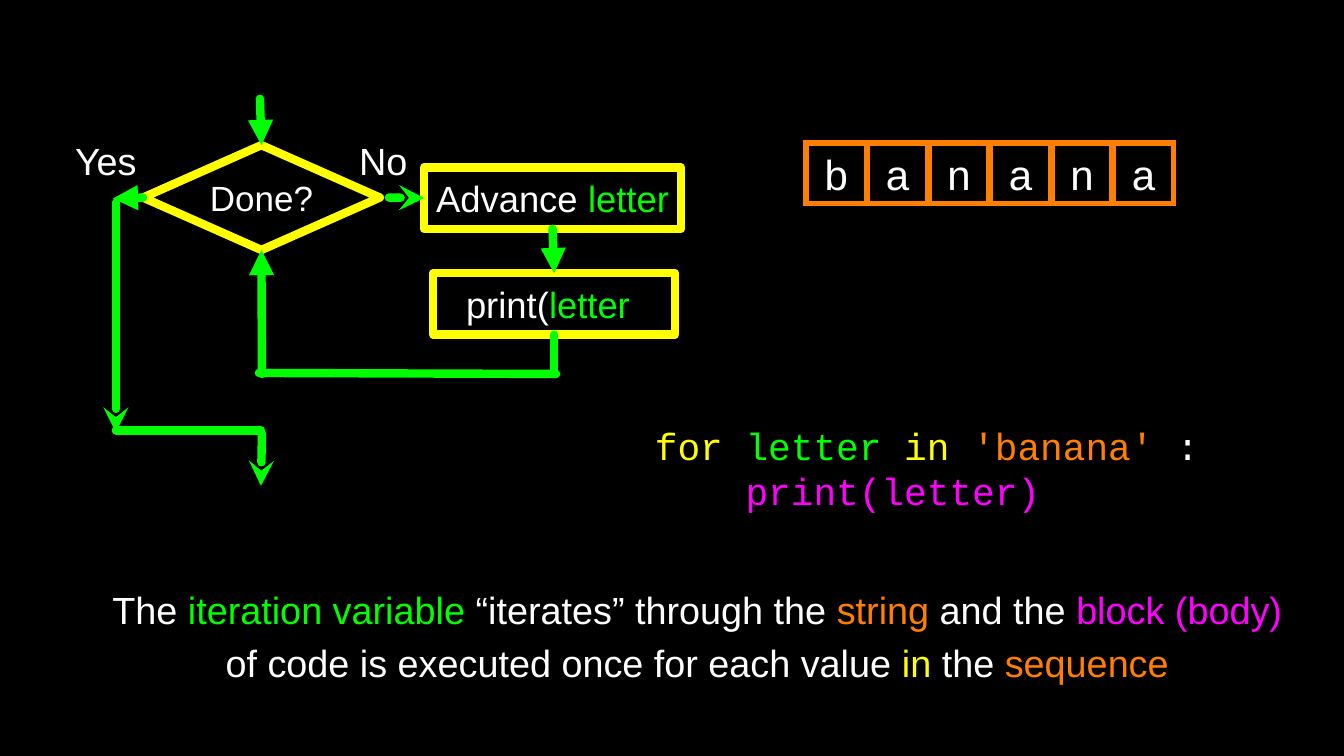
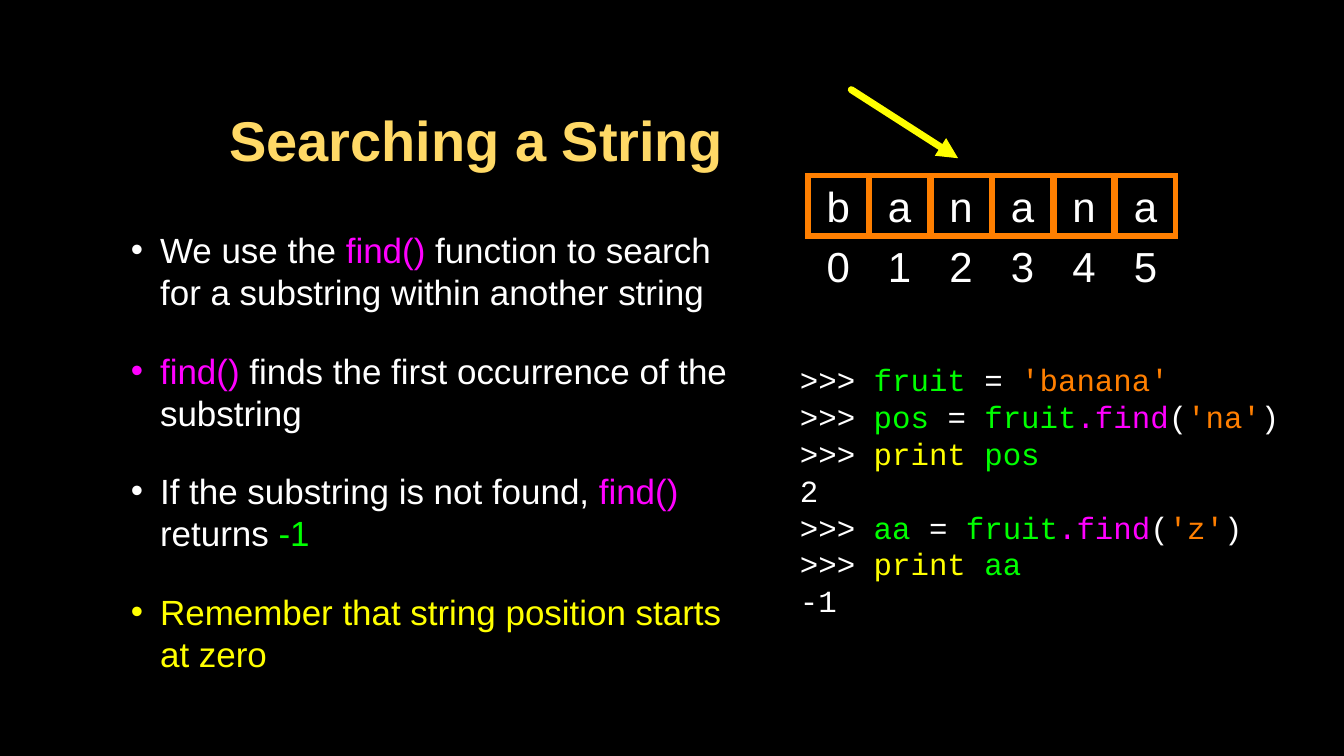
from lxml import etree
from pptx import Presentation
from pptx.dml.color import RGBColor
from pptx.enum.shapes import MSO_CONNECTOR, MSO_SHAPE
from pptx.enum.text import MSO_ANCHOR, PP_ALIGN
from pptx.oxml.ns import qn
from pptx.util import Inches, Pt

STRAIGHT = MSO_CONNECTOR.STRAIGHT
DIAMOND, RECT = MSO_SHAPE.DIAMOND, MSO_SHAPE.RECTANGLE
LEFT, CENTER, RIGHT = PP_ALIGN.LEFT, PP_ALIGN.CENTER, PP_ALIGN.RIGHT
MIDDLE = MSO_ANCHOR.MIDDLE
TOP_SIDE, LEFT_SIDE, BOTTOM_SIDE = 0, 1, 2


class Theme:
    black, white, gold = "000000", "FFFFFF", "FFD966"
    yellow, green, orange, magenta = "FFFF00", "00FF00", "FF7F00", "FF00FF"
    sans, mono = "Arial", "Courier New"
    title, letter, label, box, body, console = 40, 30, 27, 26, 25, 22
    flow_line, pointer_line, tile_line = 6, 5, 4


T = Theme


def write(tf, paras, size, align=CENTER, font=T.sans, leading=None, margin=0.0):
    """Fill a text frame; each paragraph is a list of (text, colour) runs."""
    tf.word_wrap = True
    tf.vertical_anchor = MIDDLE
    tf.margin_left = tf.margin_right = Inches(margin)
    tf.margin_top = tf.margin_bottom = Inches(margin)
    for i, runs in enumerate(paras):
        p = tf.paragraphs[0] if i == 0 else tf.add_paragraph()
        p.alignment = align
        if leading:
            p.line_spacing = Pt(leading)
        for text, color in runs:
            r = p.add_run()
            r.text = text
            r.font.size, r.font.name = Pt(size), font
            r.font.color.rgb = RGBColor.from_string(color)


def connect(s, start, end, color, width, arrow=None):
    """Draw a round-capped line, with an optional arrowhead at its end."""
    c = s.shapes.add_connector(STRAIGHT, *map(Inches, start + end))
    c.line.color.rgb = RGBColor.from_string(color)
    c.line.width = Pt(width)
    spPr = c._element.spPr
    ln = spPr.find(qn("a:ln"))
    ln.set("cap", "rnd")
    if arrow:
        etree.SubElement(ln, qn("a:tailEnd"), type=arrow)
    etree.SubElement(spPr, qn("a:effectLst"))
    return c


prs = Presentation()
prs.slide_width, prs.slide_height = Inches(13.34), Inches(7.5)
fill = prs.slide_master.background.fill
fill.solid()
fill.fore_color.rgb = RGBColor.from_string(T.black)
loop_slide = prs.slides.add_slide(prs.slide_layouts[6])
find_slide = prs.slides.add_slide(prs.slide_layouts[5])

# Letter tiles on both slides, with index numbers on the second
TILE, PITCH = 0.6, 0.61
for s, left, top, numbered in ((loop_slide, 8.0, 1.42, False),
                               (find_slide, 8.02, 1.74, True)):
    for i, letter in enumerate("banana"):
        x = left + i * PITCH
        sp = s.shapes.add_shape(RECT, Inches(x), Inches(top), Inches(TILE), Inches(TILE))
        sp.shadow.inherit = False
        sp.fill.background()
        sp.line.color.rgb = RGBColor.from_string(T.orange)
        sp.line.width = Pt(T.tile_line)
        etree.SubElement(sp._element.spPr.find(qn("a:ln")), qn("a:miter"), lim="800000")
        write(sp.text_frame, [[(letter, T.white)]], T.letter)
        if numbered:
            sp = s.shapes.add_textbox(Inches(x), Inches(top + TILE), Inches(TILE), Inches(TILE))
            write(sp.text_frame, [[(str(i), T.white)]], T.letter)

# Slide 1: flowchart nodes
s = loop_slide
nodes = {}
for name, kind, box, size, runs in (
    ("done", DIAMOND, (1.42, 1.44, 2.35, 1.04), T.body, [("Done?", T.white)]),
    ("advance", RECT, (4.21, 1.66, 2.55, 0.61), T.box,
     [("Advance ", T.white), ("letter", T.green)]),
    ("print", RECT, (4.3, 2.71, 2.4, 0.61), T.box,
     [("print(", T.white), ("letter", T.green)]),
):
    sp = s.shapes.add_shape(kind, *map(Inches, box))
    sp.shadow.inherit = False
    sp.fill.background()
    sp.line.color.rgb = RGBColor.from_string(T.yellow)
    sp.line.width = Pt(T.flow_line)
    write(sp.text_frame, [runs], size)
    nodes[name] = sp
nodes["print"].text_frame.margin_right = Inches(0.12)

# Flow lines: start, end, arrowhead, node joined at the start, node joined at the end
for start, end, arrow, source, target in (
    ((2.58, 0.98), (2.59, 1.44), "triangle", None, ("done", TOP_SIDE)),
    ((3.86, 1.96), (4.18, 1.96), "stealth", None, ("advance", LEFT_SIDE)),
    ((5.48, 2.27), (5.5, 2.71), "triangle", ("advance", BOTTOM_SIDE), ("print", TOP_SIDE)),
    ((5.5, 3.32), (5.5, 3.71), None, ("print", BOTTOM_SIDE), None),
    ((5.52, 3.71), (2.57, 3.7), None, None, None),
    ((2.6, 3.71), (2.59, 2.48), "triangle", None, ("done", BOTTOM_SIDE)),
    ((1.42, 1.96), (1.12, 1.97), "triangle", ("done", LEFT_SIDE), None),
    ((1.15, 2.01), (1.15, 4.29), "stealth", None, None),
    ((1.15, 4.27), (2.59, 4.27), None, None, None),
    ((2.6, 4.3), (2.59, 4.82), "stealth", None, None),
):
    c = connect(s, start, end, T.green, T.flow_line, arrow)
    if source:
        c.begin_connect(nodes[source[0]], source[1])
    if target:
        c.end_connect(nodes[target[0]], target[1])

# Branch labels
for text, left, width in (("Yes", 0.69, 0.72), ("No", 3.51, 0.59)):
    sp = s.shapes.add_textbox(Inches(left), Inches(1.34), Inches(width), Inches(0.51))
    write(sp.text_frame, [[(text, T.white)]], T.label)

# Loop code
sp = s.shapes.add_textbox(Inches(6.5), Inches(4.17), Inches(5.45), Inches(0.94))
write(sp.text_frame, [
    [("for ", T.yellow), ("letter ", T.green), ("in ", T.yellow),
     ("'banana' ", T.orange), (":", T.white)],
    [("    print(letter)", T.magenta)],
], T.label, LEFT, T.mono, leading=32.2)

# Explanation
sp = s.shapes.add_textbox(Inches(0.96), Inches(5.72), Inches(11.92), Inches(1.11))
write(sp.text_frame, [[
    ("The", T.white), (" iteration variable ", T.green),
    ("“iterates” through the ", T.white), ("string ", T.orange),
    ("and the ", T.white), ("block (body)", T.magenta),
    (" of code is executed once for each value ", T.white),
    ("in", T.yellow), (" the ", T.white), ("sequence", T.orange),
]], T.label, leading=37.2)

# Slide 2: title
s = find_slide
sp = s.shapes.title
sp.left, sp.top, sp.width, sp.height = map(Inches, (0.95, 0.68, 6.26, 1.4))
write(sp.text_frame, [[("Searching a String", T.gold)]], T.title, RIGHT, margin=0.03)
sp.text_frame.paragraphs[0].runs[0].font.bold = True

# Bullets, each marked in the colour of its first run
bullets = [
    [("We use the", T.white), (" find()", T.magenta),
     (" function to search for a substring within another string", T.white)],
    [("find()", T.magenta), (" finds the first occurrence of the substring", T.white)],
    [("If the substring is not found, ", T.white), ("find()", T.magenta),
     (" returns ", T.white), ("-1", T.green)],
    [("Remember that string position starts at zero", T.yellow)],
]
sp = s.shapes.add_textbox(Inches(0.95), Inches(2.14), Inches(6.47), Inches(4.68))
write(sp.text_frame, bullets, T.body, LEFT, leading=30, margin=0.03)
for i, p in enumerate(sp.text_frame.paragraphs):
    if i:
        p.space_before = Pt(26.2)
    pPr = p._p.get_or_add_pPr()
    pPr.set("marL", str(Inches(0.61)))
    pPr.set("indent", str(Inches(-0.29)))
    color = etree.SubElement(pPr, qn("a:buClr"))
    etree.SubElement(color, qn("a:srgbClr"), val=bullets[i][0][1])
    etree.SubElement(pPr, qn("a:buFont"), typeface=T.sans)
    etree.SubElement(pPr, qn("a:buChar"), char="•")

# Console session
prompt = (">>> ", T.white)
sp = s.shapes.add_textbox(Inches(7.94), Inches(3.27), Inches(5.12), Inches(3.18))
write(sp.text_frame, [
    [prompt, ("fruit ", T.green), ("=", T.white), (" 'banana'", T.orange)],
    [prompt, ("pos ", T.green), ("= ", T.white), ("fruit", T.green),
     (".find", T.magenta), ("(", T.white), ("'na'", T.orange), (")", T.white)],
    [prompt, ("print ", T.yellow), ("pos", T.green)],
    [("2", T.white)],
    [prompt, ("aa ", T.green), ("= ", T.white), ("fruit", T.green),
     (".find", T.magenta), ("(", T.white), ("'z'", T.orange), (")", T.white)],
    [prompt, ("print ", T.yellow), ("aa", T.green)],
    [("-1", T.white)],
], T.console, LEFT, T.mono, leading=26.3)

# Pointer to the match
connect(s, (8.45, 0.89), (9.51, 1.57), T.yellow, T.pointer_line, "triangle")

prs.save("out.pptx")
